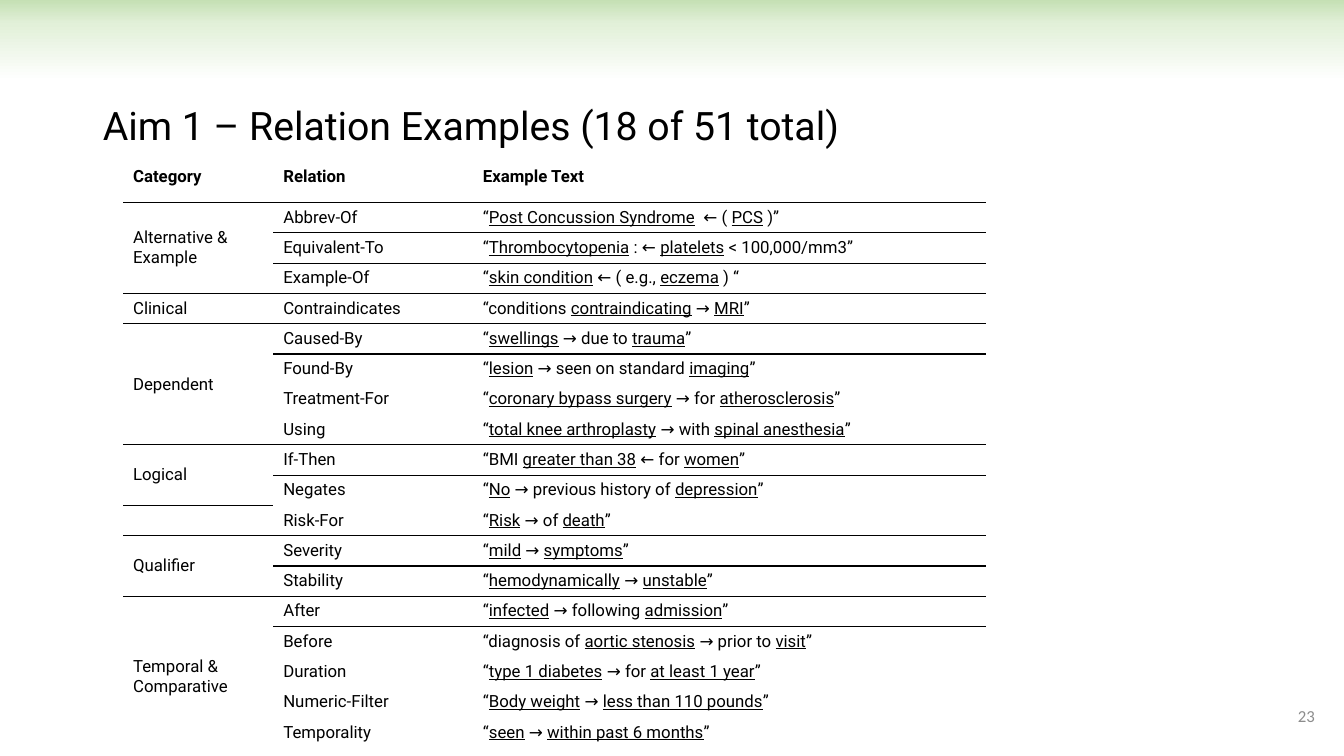
from copy import deepcopy

from pptx import Presentation
from pptx.dml.color import RGBColor
from pptx.enum.shapes import MSO_SHAPE
from pptx.enum.text import MSO_ANCHOR as ANCHOR, MSO_AUTO_SIZE as AUTO_SIZE, PP_ALIGN as ALIGN
from pptx.oxml import parse_xml
from pptx.oxml.ns import nsdecls, qn
from pptx.util import Inches, Pt

COLORS = {"text": "000000", "number": "8C8C8C",
          "band": [(0, "C5E0B4"), (0.3, "E2F0D9"), (1, "FFFFFF")]}
BODY_FONT = {"name": "Roboto", "size": Pt(12), "bold": False}
HEADER_FONT = BODY_FONT | {"bold": True}
TITLE_FONT = BODY_FONT | {"size": Pt(28)}
NUMBER_FONT = {"name": "Calibri", "size": Pt(12)}
PLAIN_STYLE = "{2D5ABB26-0587-4C30-8999-92F81FD0307C}"

HEADERS = ["Category", "Relation", "Example Text"]
COLUMN_WIDTHS = [1.49, 1.98, 5.09]
HEADER_HEIGHT, ROW_HEIGHT, LAST_HEIGHT = 0.4, 0.3, 0.4
# Category, rows its cell spans, then relations; underscores enclose underlined words
GROUPS = [
    ("Alternative &\nExample", 3, [
        ("Abbrev-Of", "“_Post Concussion Syndrome_  ← ( _PCS_ )”"),
        ("Equivalent-To", "“_Thrombocytopenia_ : ← _platelets_ < 100,000/mm3”"),
        ("Example-Of", "“_skin condition_ ← ( e.g., _eczema_ ) “")]),
    ("Clinical", 1, [
        ("Contraindicates", "“conditions _contraindicating_ → _MRI_”")]),
    ("Dependent", 4, [
        ("Caused-By", "“_swellings_ → due to _trauma_”"),
        ("Found-By", "“_lesion_ → seen on standard _imaging_”"),
        ("Treatment-For", "“_coronary bypass surgery_ → for _atherosclerosis_”"),
        ("Using", "“_total knee arthroplasty_ → with _spinal anesthesia_”")]),
    ("Logical", 2, [
        ("If-Then", "“BMI _greater than 38_ ← for _women_”"),
        ("Negates", "“_No_ → previous history of _depression_”"),
        ("Risk-For", "“_Risk_ → of _death_”")]),
    ("Qualifier", 2, [
        ("Severity", "“_mild_ → _symptoms_”"),
        ("Stability", "“_hemodynamically_ → _unstable_”")]),
    ("Temporal &\nComparative", 5, [
        ("After", "“_infected_ → following _admission_”"),
        ("Before", "“diagnosis of _aortic stenosis_ → prior to _visit_”"),
        ("Duration", "“_type 1 diabetes_ → for _at least 1 year_”"),
        ("Numeric-Filter", "“_Body weight_ → _less than 110 pounds_”"),
        ("Temporality", "“_seen_ → _within past 6 months_”")]),
]


def write(frame, text, font, color="text", align=ALIGN.LEFT):
    """Fill a text frame: one paragraph a line, underlining what underscores enclose."""
    for index, line in enumerate(text.split("\n")):
        paragraph = frame.add_paragraph() if index else frame.paragraphs[0]
        paragraph.alignment = align
        for part, words in enumerate(line.split("_")):
            if not words:
                continue
            run = paragraph.add_run()
            run.text = words
            for name, value in font.items():
                setattr(run.font, name, value)
            run.font.color.rgb = RGBColor.from_string(COLORS[color])
            if part % 2:
                run.font.underline = True


def add_band(slide, left, top, width, height):
    band = slide.shapes.add_shape(MSO_SHAPE.RECTANGLE, *map(Inches, (left, top, width, height)))
    band.shadow.inherit = False
    band.line.fill.background()
    band.fill.gradient()
    band.fill.gradient_angle = 270
    stop_list = band._element.spPr.find(f".//{qn('a:gsLst')}")
    stop_list.append(deepcopy(stop_list[0]))
    for stop, (position, color) in zip(band.fill.gradient_stops, COLORS["band"]):
        stop.position = position
        stop.color.rgb = RGBColor.from_string(color)


def place_title(slide, left, top, width, height):
    title = slide.shapes.title
    title.left, title.top, title.width, title.height = map(Inches, (left, top, width, height))
    frame = title.text_frame
    frame.word_wrap = True
    frame.auto_size = AUTO_SIZE.SHAPE_TO_FIT_TEXT
    frame.vertical_anchor = ANCHOR.TOP
    write(frame, "Aim 1 – Relation Examples (18 of 51 total)", TITLE_FONT)


def add_slide_number(slide, left, top, width, height):
    box = slide.shapes.add_textbox(*map(Inches, (left, top, width, height)))
    box.text_frame.word_wrap = True
    box.text_frame.vertical_anchor = ANCHOR.MIDDLE
    write(box.text_frame, "23", NUMBER_FONT, "number", ALIGN.RIGHT)


def add_edge(cell, side):
    cell._tc.get_or_add_tcPr().append(parse_xml(
        f'<a:{side} {nsdecls("a")} w="{Pt(1)}"><a:solidFill>'
        f'<a:srgbClr val="{COLORS["text"]}"/></a:solidFill></a:{side}>'))


def rule_below(table, row, first_column=0):
    for column in range(first_column, len(HEADERS)):
        add_edge(table.cell(row, column), "lnB")
        add_edge(table.cell(row + 1, column), "lnT")


def add_relation_table(slide, left, top):
    relation_count = sum(len(relations) for _, _, relations in GROUPS)
    heights = [HEADER_HEIGHT] + [ROW_HEIGHT] * (relation_count - 1) + [LAST_HEIGHT]
    frame = slide.shapes.add_table(
        len(heights), len(HEADERS), Inches(left), Inches(top),
        Inches(sum(COLUMN_WIDTHS)), Inches(sum(heights)))
    table = frame.table
    table.first_row = table.horz_banding = False
    table._tbl.tblPr.find(qn("a:tableStyleId")).text = PLAIN_STYLE
    for column, width in zip(table.columns, COLUMN_WIDTHS):
        column.width = Inches(width)
    for row, height in zip(table.rows, heights):
        row.height = Inches(height)
        for cell in row.cells:
            cell.text_frame.paragraphs[0].font.size = Pt(12)

    for column, header in enumerate(HEADERS):
        write(table.cell(0, column).text_frame, header, HEADER_FONT)
    row = 1
    for category, span, relations in GROUPS:
        rule_below(table, row - 1)
        category_cell = table.cell(row, 0)
        if span > 1:
            category_cell.merge(table.cell(row + span - 1, 0))
            category_cell.vertical_anchor = ANCHOR.MIDDLE
        write(category_cell.text_frame, category, BODY_FONT)
        for relation, example in relations:
            write(table.cell(row, 1).text_frame, relation, BODY_FONT)
            write(table.cell(row, 2).text_frame, example, BODY_FONT)
            if relation == "Abbrev-Of":
                rule_below(table, row, first_column=1)
            row += 1


def main():
    presentation = Presentation()
    presentation.slide_width, presentation.slide_height = Inches(13.33), Inches(7.5)
    slide = presentation.slides.add_slide(presentation.slide_layouts[5])
    add_band(slide, 0, 0, 13.33, 0.8)
    add_slide_number(slide, 10.14, 6.9, 3, 0.4)
    place_title(slide, 0.92, 0.95, 8.98, 0.57)
    add_relation_table(slide, 1.22, 1.61)
    presentation.save("out.pptx")


if __name__ == "__main__":
    main()
